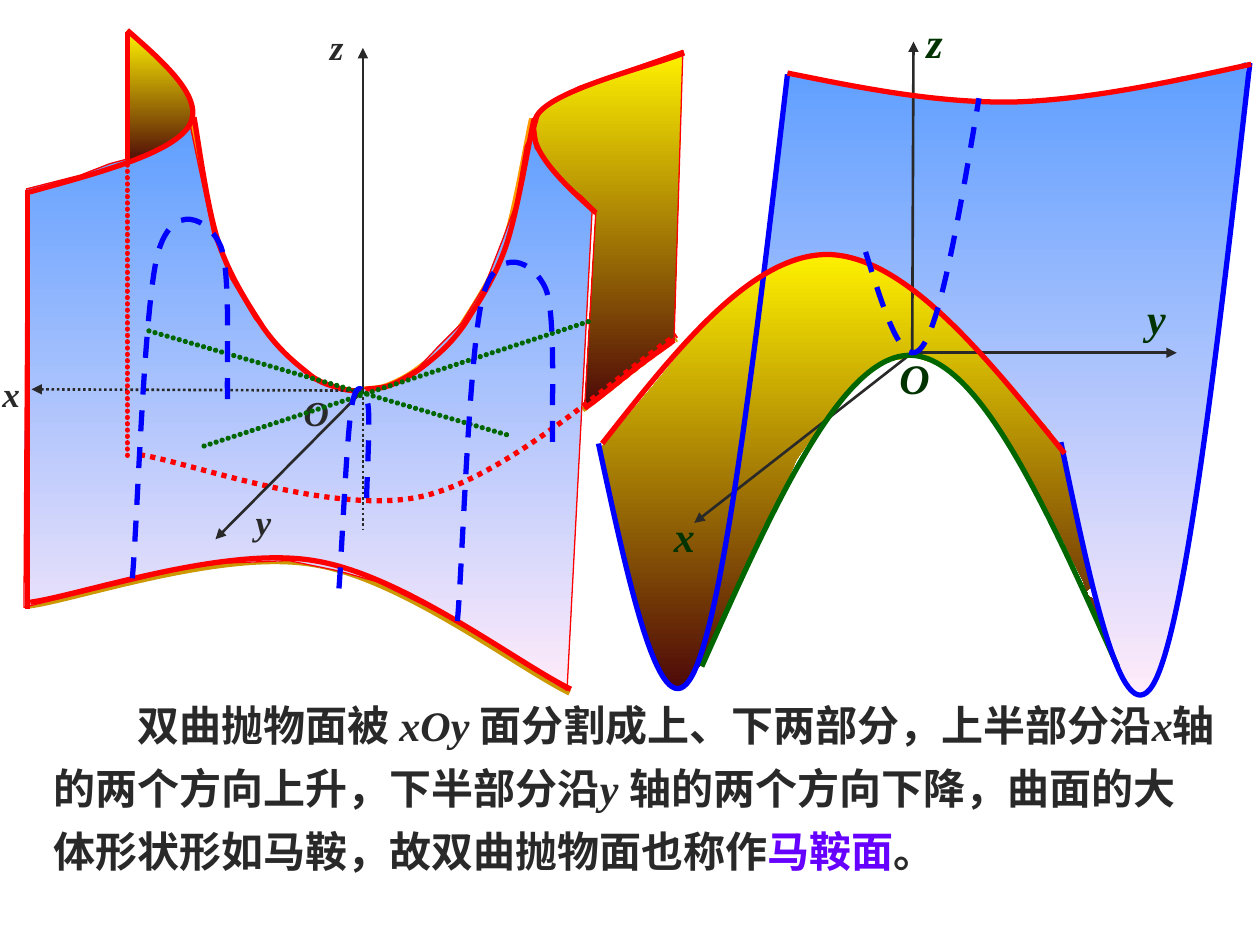
from pptx import Presentation
from pptx.dml.color import RGBColor
from pptx.enum.shapes import MSO_CONNECTOR
from pptx.enum.text import MSO_ANCHOR, PP_ALIGN
from pptx.oxml.ns import qn
from pptx.oxml.xmlchemy import OxmlElement
from pptx.util import Inches, Pt

STRAIGHT = MSO_CONNECTOR.STRAIGHT
TOP, MIDDLE = MSO_ANCHOR.TOP, MSO_ANCHOR.MIDDLE
LEFT, CENTER, RIGHT = PP_ALIGN.LEFT, PP_ALIGN.CENTER, PP_ALIGN.RIGHT
LATIN, CHINESE = "Times New Roman", "Noto Sans CJK SC"
COLORS = {
    "red": "FF0000", "blue": "0000FF", "green": "006600", "ink": "292929",
    "label": "003300", "ochre": "CC9900", "orange": "FF9900", "purple": "6600FF",
}
SKY = ("5E9EFF", "FFEBFA")
GOLD = ("FFF200", "4D0808")


def add_child(parent, tag, **attributes):
    child = OxmlElement(tag)
    for name, value in attributes.items():
        child.set(name, value)
    parent.append(child)
    return child


def style_line(shape, color, width, dash=None, arrow=False):
    """Dash is a preset name, or "beads" for closely set round dots."""
    shape.line.color.rgb = RGBColor.from_string(COLORS[color])
    shape.line.width = Pt(width)
    line = shape.line._get_or_add_ln()
    if dash == "beads":
        line.set("cap", "rnd")
        pattern = add_child(line, "a:custDash")
        add_child(pattern, "a:ds", d="100000", sp="20000")
    elif dash:
        add_child(line, "a:prstDash", val=dash)
    if arrow:
        add_child(line, "a:tailEnd", type="triangle")


def build_outline(slide, points, close):
    emu = [(Inches(x), Inches(y)) for x, y in points]
    builder = slide.shapes.build_freeform(*emu[0], scale=1.0)
    builder.add_line_segments(emu[1:], close=close)
    shape = builder.convert_to_shape()
    shape.shadow.inherit = False
    return shape


def add_surface(slide, points, gradient, outlined=False):
    shape = build_outline(slide, points, True)
    shape.fill.gradient()
    shape.fill.gradient_angle = 270
    for stop, color, position in zip(shape.fill.gradient_stops, gradient, (0, 1)):
        stop.color.rgb = RGBColor.from_string(color)
        stop.position = position
    if outlined:
        style_line(shape, "red", 0.75)
    else:
        shape.line.fill.background()


def add_curve(slide, points, color, dash=None):
    """Cubic curve: a start point, then three points for each segment."""
    shape = build_outline(slide, points, False)
    shape.fill.background()
    segments = list(shape._element.iter(qn("a:lnTo")))
    for first, second, third in zip(segments[::3], segments[1::3], segments[2::3]):
        cubic = OxmlElement("a:cubicBezTo")
        first.addprevious(cubic)
        for segment in (first, second, third):
            cubic.append(segment[0])
            segment.getparent().remove(segment)
    style_line(shape, color, 3, dash)


def add_line(slide, start, end, color="ink", width=1.5, dash=None, arrow=False):
    ends = [Inches(value) for value in (*start, *end)]
    connector = slide.shapes.add_connector(STRAIGHT, *ends)
    style_line(connector, color, width, dash, arrow)
    add_child(connector._element.spPr, "a:effectLst")


def format_run(run, size, font, color, italic):
    run.font.size = Pt(size)
    run.font.name = font
    run.font.bold = True
    run.font.italic = italic
    run.font.color.rgb = RGBColor.from_string(COLORS[color])
    add_child(run._r.get_or_add_rPr(), "a:ea", typeface=font)


def add_label(slide, text, box, size, color, align=LEFT, anchor=TOP, wrap=True):
    frame = slide.shapes.add_textbox(*map(Inches, box)).text_frame
    frame.word_wrap = wrap
    frame.vertical_anchor = anchor
    frame.text = text
    frame.paragraphs[0].alignment = align
    format_run(frame.paragraphs[0].runs[0], size, LATIN, color, True)


def add_caption(slide):
    frame = slide.shapes.add_textbox(*map(Inches, (0.33, 5.4, 9.42, 1.6))).text_frame
    frame.word_wrap = True
    paragraph = frame.paragraphs[0]
    paragraph.line_spacing = 1.25
    paragraph._p.get_or_add_pPr().set("indent", str(Pt(48)))
    for text, font, color in (
        ("双曲抛物面被 ", CHINESE, "ink"), ("xOy ", LATIN, "ink"),
        ("面分割成上、下两部分，上半部分沿", CHINESE, "ink"), ("x", LATIN, "ink"),
        ("轴的两个方向上升，下半部分沿", CHINESE, "ink"), ("y ", LATIN, "ink"),
        ("轴的两个方向下降，曲面的大体形状形如马鞍，故双曲抛物面也称作", CHINESE, "ink"),
        ("马鞍面", CHINESE, "purple"), ("。", CHINESE, "ink"),
    ):
        run = paragraph.add_run()
        run.text = text
        format_run(run, 24, font, color, font == LATIN)


def shift(points, dx, dy):
    return [(x + dx, y + dy) for x, y in points]


def add_right_surfaces(slide):
    add_surface(slide, [
        (6.25, 0.57), (6.22, 0.95), (6.15, 1.43), (6.08, 2.17), (6.25, 2.08), (6.39, 2.03),
        (6.72, 2.03), (6.85, 2.08), (7.17, 2.25), (7.5, 2.5), (7.83, 2.83), (8.18, 3.26),
        (8.42, 3.54), (8.48, 3.71), (8.52, 4), (8.63, 4.43), (8.75, 5), (8.83, 5.17),
        (8.92, 5.42), (9.08, 5.5), (9.2, 5.35), (9.29, 5.05), (9.42, 4.5), (9.43, 4.26),
        (9.48, 4.08), (9.54, 3.68), (9.6, 3.31), (9.66, 2.69), (9.75, 1.97), (9.83, 1.33),
        (9.86, 0.89), (9.89, 0.72), (9.89, 0.49), (9.67, 0.58), (9.37, 0.61), (9.17, 0.67),
        (8.68, 0.75), (8.14, 0.8), (7.91, 0.82), (7.43, 0.78), (7.06, 0.74), (6.67, 0.67),
    ], SKY)
    add_surface(slide, [
        (4.75, 3.58), (4.86, 4.02), (5, 4.6), (5.14, 5.06), (5.2, 5.26), (5.28, 5.4),
        (5.39, 5.48), (5.58, 5.25), (5.75, 4.92), (6, 4.33), (6.17, 4), (6.32, 3.65),
        (6.52, 3.36), (6.82, 3.02), (6.98, 2.88), (7.25, 2.83), (7.41, 2.88), (7.54, 2.95),
        (7.83, 3.25), (8.05, 3.56), (8.17, 3.83), (8.42, 4.25), (8.6, 4.62), (8.71, 4.94),
        (8.75, 5), (8.67, 4.75), (8.6, 4.71), (8.66, 4.66), (8.5, 3.92), (8.42, 3.58),
        (8.33, 3.42), (8, 3.05), (7.5, 2.5), (7.29, 2.32), (7.08, 2.17), (6.83, 2.08),
        (6.5, 2), (6.25, 2.08), (6.08, 2.17), (5.83, 2.33), (5.58, 2.58), (5.17, 3.08),
    ], GOLD)


def add_left_saddle(slide):
    front = [(0.24, 4.78), (0.62, 4.73), (1.77, 4.33), (2.49, 4.45),
             (3.2, 4.56), (4.1, 5.26), (4.53, 5.47)]
    back = [(1.11, 3.61), (1.48, 3.66), (2.64, 4.1), (3.35, 3.94),
            (4.06, 3.78), (4.95, 2.93), (5.37, 2.66)]
    ridge_left = [(1.54, 0.93), (1.57, 1.09), (1.64, 1.63), (1.73, 1.91), (1.82, 2.19),
                  (1.98, 2.43), (2.09, 2.6), (2.21, 2.77), (2.33, 2.87), (2.43, 2.95),
                  (2.52, 3.03), (2.59, 3.05), (2.66, 3.07), (2.73, 3.1), (2.82, 3.1), (2.87, 3.11)]
    ridge_right = [(4.24, 0.94), (4.2, 1.11), (4.11, 1.67), (4.02, 1.94), (3.93, 2.21),
                   (3.79, 2.41), (3.69, 2.57), (3.58, 2.73), (3.47, 2.82), (3.37, 2.9),
                   (3.27, 2.98), (3.17, 3.03), (3.09, 3.06), (3.01, 3.09), (2.94, 3.08), (2.9, 3.09)]
    # Ochre and orange edges showing behind the red ones
    add_curve(slide, shift(front, -0.01, 0.03), "ochre")
    add_curve(slide, shift(back, 0, 0.03), "ochre", "sysDot")
    for ridge in (ridge_left, ridge_right):
        add_curve(slide, shift(ridge, -0.02, 0), "orange")
    # Sheets
    add_surface(slide, [
        (4.73, 1.67), (4.64, 3.24), (5.35, 2.7), (5.42, 0.4), (5.22, 0.47), (4.59, 0.69),
        (4.35, 0.83), (4.28, 0.91), (4.25, 1.02), (4.28, 1.23), (4.48, 1.45), (4.62, 1.56),
    ], GOLD, outlined=True)
    add_surface(slide, [
        (1.5, 0.95), (1.69, 1.86), (1.83, 2.21), (2.02, 2.53), (2.27, 2.83), (2.49, 3.02),
        (2.78, 3.1), (3.1, 3.05), (3.32, 2.92), (3.47, 2.76), (3.66, 2.57), (3.85, 2.26),
        (3.99, 1.9), (4.09, 1.63), (4.17, 1.16), (4.22, 1.06), (4.25, 1.18), (4.4, 1.36),
        (4.55, 1.54), (4.7, 1.66), (4.5, 5.48), (4.25, 5.33), (3.7, 4.98), (3.36, 4.8),
        (3, 4.62), (2.68, 4.53), (2.29, 4.45), (1.79, 4.47), (1.52, 4.5), (0.85, 4.66),
        (0.19, 4.82), (0.21, 1.5), (0.64, 1.39), (0.87, 1.3), (1.02, 1.26), (1.33, 1.09),
    ], SKY, outlined=True)
    for ridge in (ridge_left, ridge_right):
        add_curve(slide, ridge, "red")
    add_surface(slide, [(1, 1.3), (1, 0.24), (1.34, 0.56), (1.5, 0.77), (1.52, 0.92),
                        (1.47, 1.04), (1.29, 1.17), (1.16, 1.22)], GOLD)
    # Red edges
    add_curve(slide, [(4.64, 3.24), (4.72, 3.19), (4.97, 2.98), (5.09, 2.89),
                      (5.21, 2.8), (5.3, 2.74), (5.35, 2.7)], "red")
    add_curve(slide, back, "red", "sysDot")
    add_curve(slide, front, "red")
    add_curve(slide, [(1.01, 0.24), (1.32, 0.51), (1.63, 0.79), (1.5, 1),
                      (1.36, 1.22), (0.79, 1.37), (0.21, 1.53)], "red")
    add_curve(slide, [(4.73, 1.69), (4.43, 1.42), (4.14, 1.14), (4.26, 0.92),
                      (4.38, 0.71), (5.19, 0.52), (5.43, 0.42)], "red")


def add_left_axes(slide):
    add_line(slide, (2.85, 3.1), (0.25, 3.09), dash="sysDot", arrow=True)
    add_line(slide, (2.88, 3.12), (2.88, 0.38), arrow=True)
    add_line(slide, (2.88, 3.1), (1.71, 4.28), arrow=True)
    for text, box, align in (("x", (-0.08, 2.9, 0.63, 0.44), LEFT),
                             ("z", (2.52, 0.15, 0.54, 0.44), LEFT),
                             ("y", (1.93, 3.92, 0.39, 0.44), LEFT),
                             ("O", (2.26, 3.05, 0.5, 0.44), CENTER)):
        add_label(slide, text, box, 20, "ink", align, MIDDLE)
    add_line(slide, (2.88, 3.11), (2.88, 4.21), dash="sysDot")
    # Side edges and the two lines through the saddle point
    add_line(slide, (1.01, 0.25), (1.01, 1.26), "red", 3)
    add_line(slide, (1.01, 1.26), (1.01, 3.66), "red", 3, "beads")
    add_line(slide, (0.22, 1.51), (0.22, 4.83), "red", 3)
    add_line(slide, (4.02, 3.45), (1.16, 2.62), "green", 3, "beads")
    add_line(slide, (1.62, 3.54), (4.71, 2.54), "green", 3, "beads")
    # Dashed sections
    add_curve(slide, [(2.69, 4.67), (2.71, 4.43), (2.75, 3.47), (2.79, 3.23), (2.83, 2.99),
                      (2.9, 3.09), (2.92, 3.21), (2.94, 3.33), (2.91, 3.81), (2.91, 3.97)],
              "blue", "dash")
    arch = [(1.05, 4.59), (1.09, 4.17), (1.14, 2.46), (1.25, 2.02), (1.37, 1.58),
            (1.66, 1.74), (1.75, 1.95), (1.84, 2.16), (1.79, 3.01), (1.81, 3.29)]
    for dx, dy in ((2.58, 0.34), (0, 0)):
        add_curve(slide, shift(arch, dx, dy), "blue", "dash")


def add_right_axes_and_edges(slide):
    add_label(slide, "O", (7.04, 2.75, 0.37, 0.45), 24, "label", CENTER)
    for tip in ((9.34, 2.8), (5.51, 4.15), (7.25, 0.33)):
        add_line(slide, (7.24, 2.8), tip, arrow=True)
    for text, box in (("x", (5.25, 4, 0.36, 0.5)), ("z", (7.25, 0.08, 0.33, 0.5)),
                      ("y", (9, 2.27, 0.35, 0.5))):
        add_label(slide, text, box, 24, "label", RIGHT, wrap=False)
    for color, dash, points in (
        ("green", None, [(5.57, 5.29), (6.12, 4.06), (6.67, 2.82), (7.22, 2.82),
                         (7.77, 2.82), (8.32, 4.06), (8.87, 5.29)]),
        ("blue", None, [(8.42, 3.51), (8.67, 4.71), (8.92, 5.9), (9.17, 5.4),
                        (9.42, 4.89), (9.67, 2.7), (9.92, 0.5)]),
        ("blue", None, [(4.75, 3.52), (5, 4.68), (5.25, 5.84), (5.5, 5.35),
                        (5.75, 4.86), (6, 2.73), (6.25, 0.59)]),
        ("red", None, [(4.78, 3.52), (5.37, 2.77), (5.97, 2.01), (6.58, 2.02),
                       (7.19, 2.04), (7.82, 2.82), (8.45, 3.6)]),
        ("red", None, [(6.25, 0.58), (6.84, 0.7), (7.44, 0.82), (8.05, 0.81),
                       (8.66, 0.79), (9.29, 0.65), (9.93, 0.51)]),
        ("blue", "dash", [(6.87, 2), (7.02, 2.48), (7.17, 2.96), (7.32, 2.75),
                          (7.47, 2.55), (7.62, 1.67), (7.77, 0.78)]),
    ):
        add_curve(slide, points, color, dash)


def main():
    presentation = Presentation()
    presentation.slide_width, presentation.slide_height = Inches(10), Inches(7.5)
    slide = presentation.slides.add_slide(presentation.slide_layouts[6])
    add_right_surfaces(slide)
    add_left_saddle(slide)
    add_left_axes(slide)
    add_caption(slide)
    add_right_axes_and_edges(slide)
    presentation.save("out.pptx")


if __name__ == "__main__":
    main()
